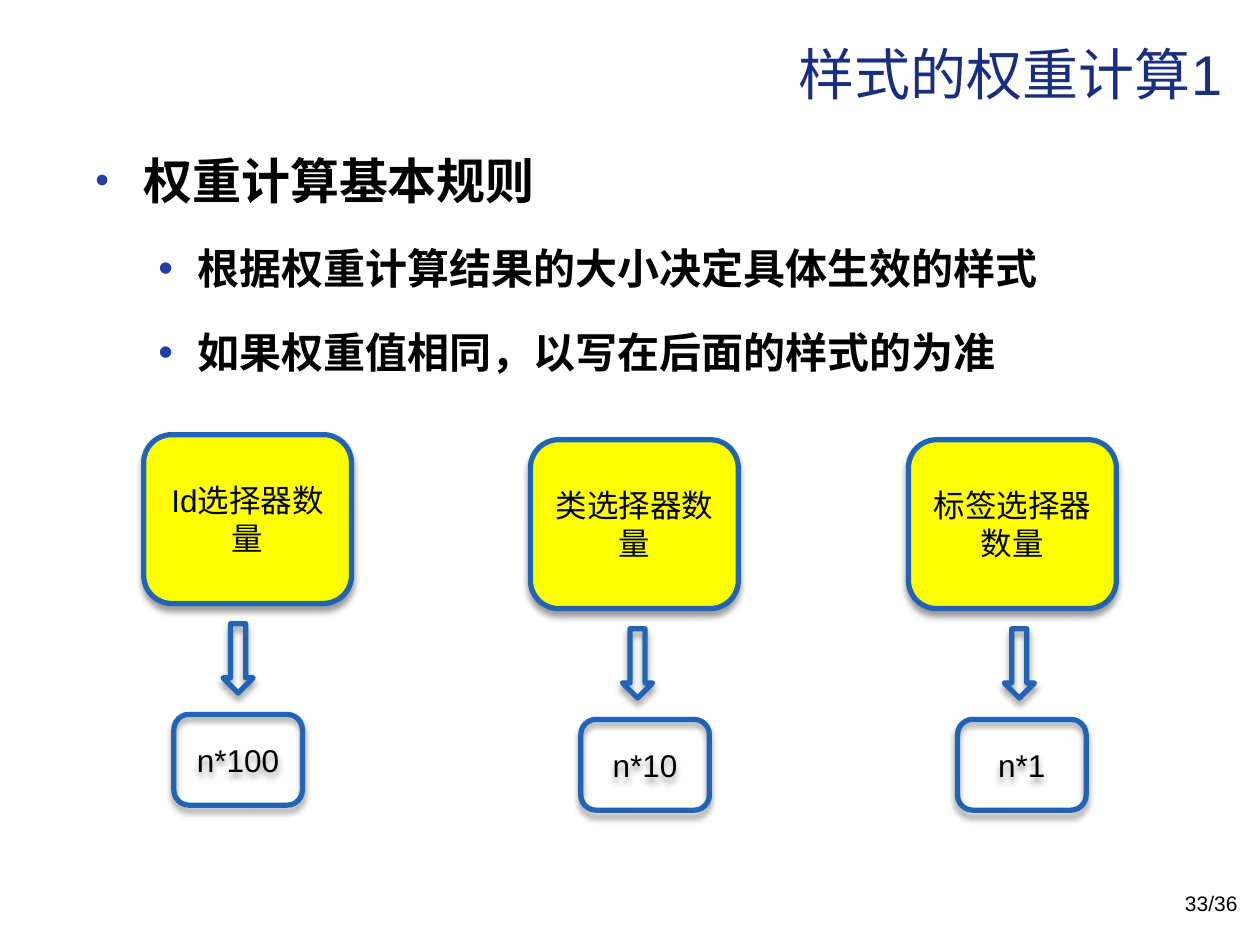
"""Build a slide on how CSS selector weights are worked out."""
from dataclasses import dataclass

from lxml import etree
from pptx import Presentation
from pptx.dml.color import RGBColor
from pptx.enum.shapes import MSO_SHAPE
from pptx.enum.text import MSO_ANCHOR, PP_ALIGN
from pptx.oxml.ns import qn
from pptx.util import Inches, Pt

ROUND, ARROW = MSO_SHAPE.ROUNDED_RECTANGLE, MSO_SHAPE.DOWN_ARROW
TOP, MIDDLE = MSO_ANCHOR.TOP, MSO_ANCHOR.MIDDLE
LEFT, CENTER, RIGHT = PP_ALIGN.LEFT, PP_ALIGN.CENTER, PP_ALIGN.RIGHT
COLORS = {"title": "1A2E7F", "text": "000000", "bullet": "233DA9",
          "fill": "FFFF00", "line": "2163B4", "shadow": "000000"}


@dataclass
class Point:
    text: str
    size: int
    margin: float
    hang: float
    scale: int


@dataclass
class Column:
    label: str
    weight: str
    top: float
    box: float
    arrow: float
    result: float


POINTS = [
    Point("权重计算基本规则", 28, 0.38, 0.38, 80),
    Point("根据权重计算结果的大小决定具体生效的样式", 24, 0.81, 0.31, 100),
    Point("如果权重值相同，以写在后面的样式的为准", 24, 0.81, 0.31, 100),
]
COLUMNS = [
    Column("Id选择器数量", "n*100", 3.45, 1.14, 1.77, 1.38),
    Column("类选择器数量", "n*10", 3.49, 4.21, 4.94, 4.61),
    Column("标签选择器数量", "n*1", 3.49, 7.21, 7.97, 7.6),
]


def color(name: str) -> RGBColor:
    """Look up a named colour."""
    return RGBColor.from_string(COLORS[name])


def write(para, text: str, size: int, align=LEFT, tone: str = "text",
          bold: bool = False) -> None:
    """Put one styled run in a paragraph."""
    para.alignment = align
    run = para.add_run()
    run.text = text
    style = {"name": "Arial", "size": Pt(size), "bold": bold}
    for key, value in style.items():
        setattr(run.font, key, value)
    run.font.color.rgb = color(tone)


def add_text(slide, area: tuple, anchor=TOP):
    """Add a wrapping text box and return its frame."""
    frame = slide.shapes.add_textbox(*map(Inches, area)).text_frame
    for key, value in {"word_wrap": True, "vertical_anchor": anchor}.items():
        setattr(frame, key, value)
    return frame


def add_point(para, point: Point) -> None:
    """Write a bulleted paragraph."""
    write(para, point.text, point.size, bold=True)
    style = {"line_spacing": 1.5, "space_before": Pt(point.size * 0.2)}
    for key, value in style.items():
        setattr(para, key, value)
    props = para._p.get_or_add_pPr()
    props.set("marL", str(Inches(point.margin)))
    props.set("indent", str(-Inches(point.hang)))
    tint = etree.SubElement(props, qn("a:buClr"))
    etree.SubElement(tint, qn("a:srgbClr"), val=COLORS["bullet"])
    etree.SubElement(props, qn("a:buSzPct"), val=str(point.scale * 1000))
    etree.SubElement(props, qn("a:buFont"), typeface="Arial")
    etree.SubElement(props, qn("a:buChar"), char="•")


def add_shadow(shape) -> None:
    """Give a shape a soft shadow below it."""
    shape.shadow.inherit = False
    effects = shape._element.spPr.find(qn("a:effectLst"))
    outer = etree.SubElement(effects, qn("a:outerShdw"), blurRad=str(Pt(4)),
                             dist=str(Pt(3)), dir="5400000", rotWithShape="0")
    tint = etree.SubElement(outer, qn("a:srgbClr"), val=COLORS["shadow"])
    etree.SubElement(tint, qn("a:alpha"), val="40000")


def add_block(slide, kind, area: tuple, text: str = "",
              filled: bool = False) -> None:
    """Draw one outlined shape with its label."""
    shape = slide.shapes.add_shape(kind, *map(Inches, area))
    if filled:
        shape.fill.solid()
        shape.fill.fore_color.rgb = color("fill")
    else:
        shape.fill.background()
    shape.line.color.rgb = color("line")
    shape.line.width = Pt(3)
    add_shadow(shape)
    if text:
        shape.text_frame.vertical_anchor = MIDDLE
        write(shape.text_frame.paragraphs[0], text, 18, CENTER)


def add_column(slide, col: Column) -> None:
    """Draw a selector box, its arrow and its weight."""
    add_block(slide, ROUND, (col.box, col.top, 1.65, 1.34), col.label, True)
    add_block(slide, ROUND, (col.result, col.top + 2.22, 1.02, 0.72),
              col.weight)
    add_block(slide, ARROW, (col.arrow, col.top + 1.5, 0.24, 0.55))


def main() -> None:
    """Build and save the slide."""
    deck = Presentation()
    deck.slide_width, deck.slide_height = Inches(10), Inches(7.5)
    slide = deck.slides.add_slide(deck.slide_layouts[6])
    title = add_text(slide, (0.8, 0.09, 9, 0.98), MIDDLE)
    write(title.paragraphs[0], "样式的权重计算1", 32, RIGHT, "title")
    body = add_text(slide, (0.66, 0.91, 8.36, 2.2))
    for i, point in enumerate(POINTS):
        add_point(body.add_paragraph() if i else body.paragraphs[0], point)
    page = add_text(slide, (7.59, 7.02, 2.33, 0.4))
    write(page.paragraphs[0], "33/36", 12, RIGHT)
    for col in COLUMNS:
        add_column(slide, col)
    deck.save("out.pptx")


if __name__ == "__main__":
    main()
